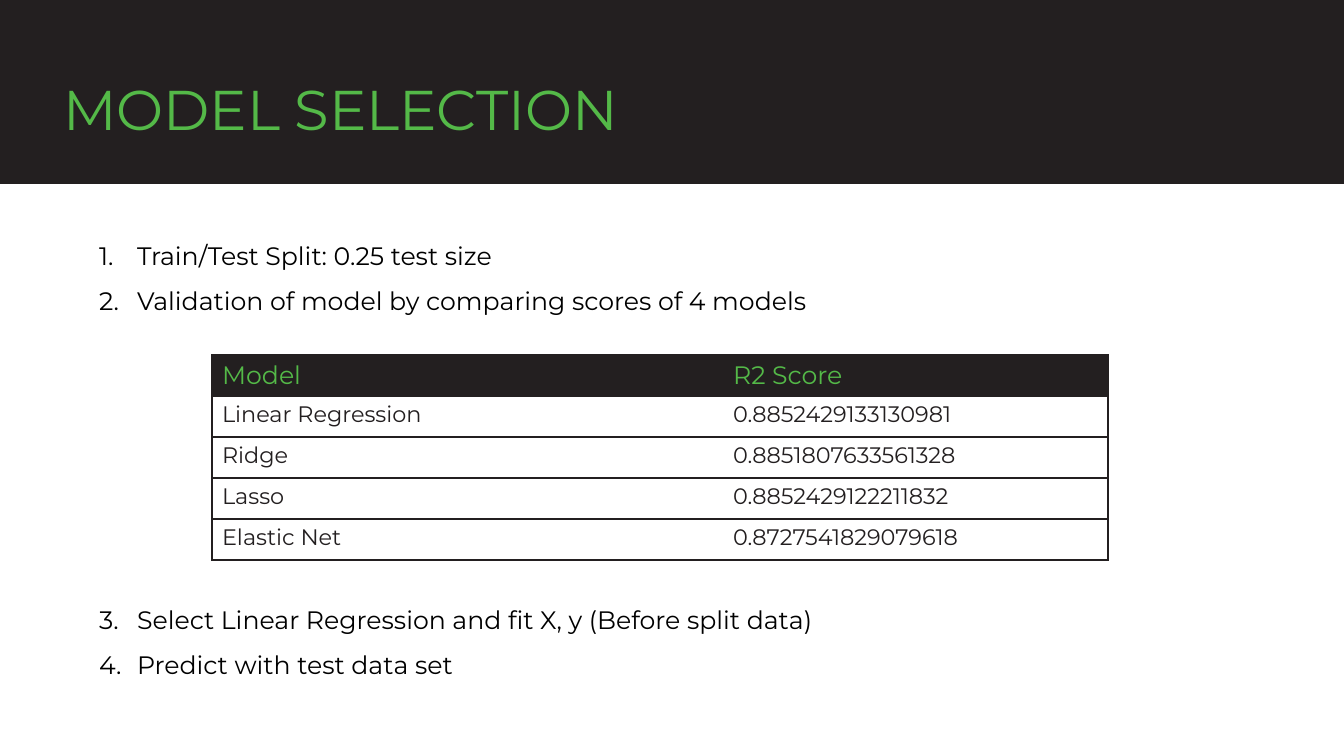
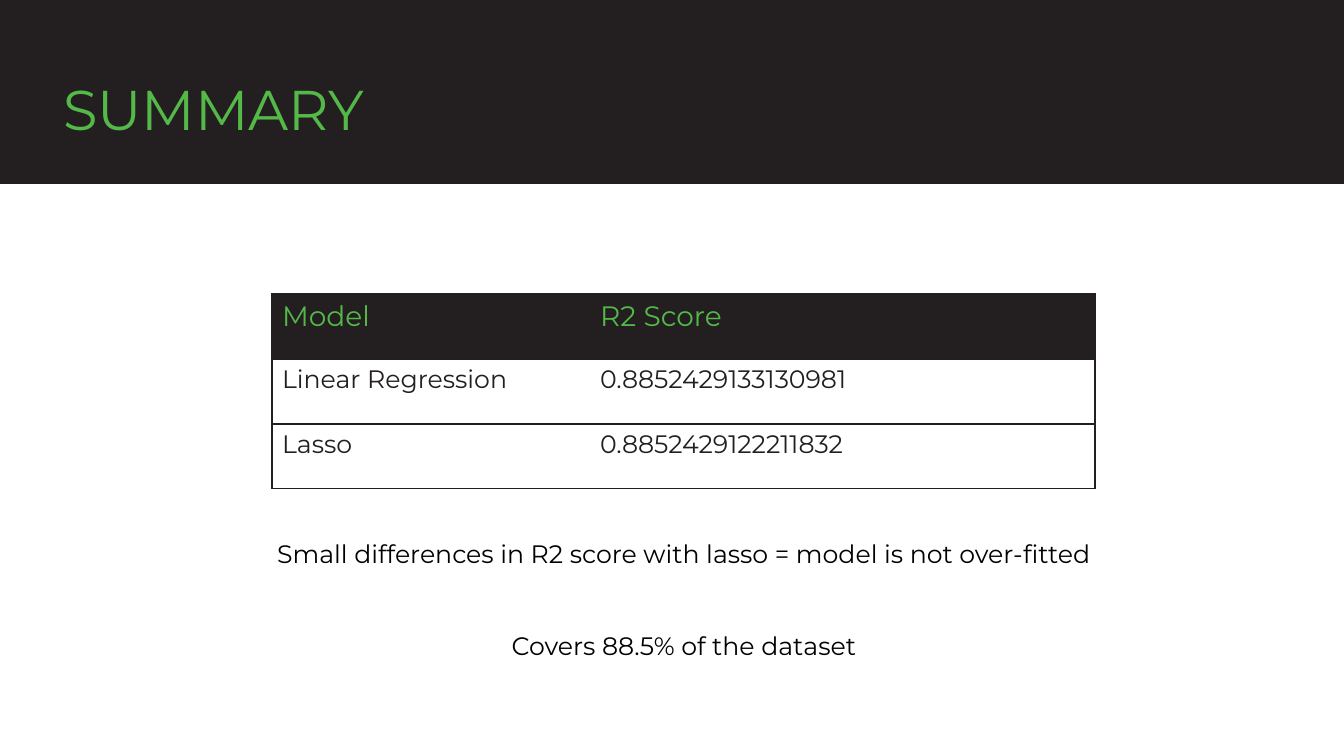
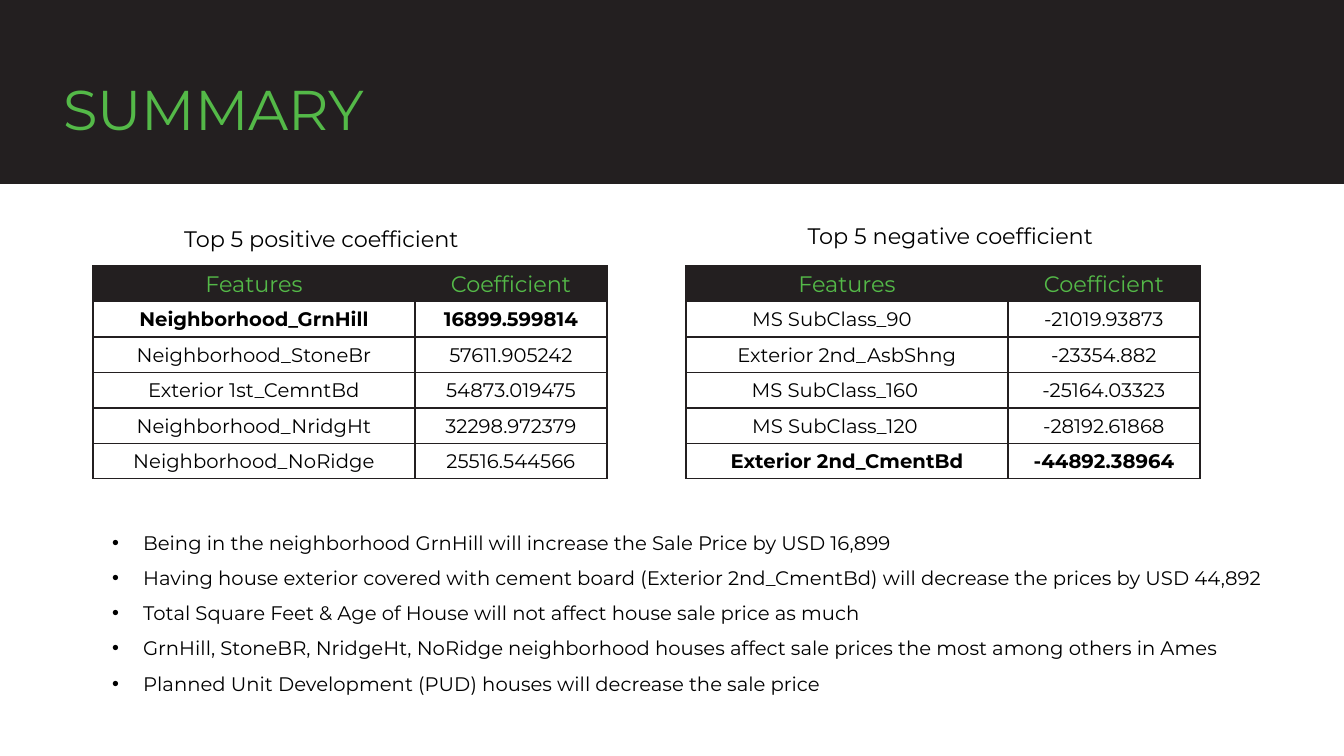
from dataclasses import dataclass

from lxml.etree import SubElement
from pptx import Presentation
from pptx.dml.color import RGBColor as Color
from pptx.enum.shapes import MSO_SHAPE as Preset
from pptx.enum.text import MSO_ANCHOR as Anchor, MSO_AUTO_SIZE as AutoSize, PP_ALIGN as Align
from pptx.oxml.ns import qn
from pptx.util import Pt

EMU_PER_PX = 914400 / 100.8


@dataclass(frozen=True)
class Theme:
    font: str = "Montserrat"
    dark: str = "231F20"
    green: str = "54B948"
    black: str = "000000"
    white: str = "FFFFFF"
    title: int = 40
    large: int = 20
    body: int = 18
    caption: int = 16
    small: int = 14
    line_spacing: float = 1.5


theme = Theme()


def px(value):
    return round(value * EMU_PER_PX)


def style_paragraph(paragraph, size, color, align=Align.LEFT, spacing=1.0, before=0, bold=False):
    paragraph.alignment = align
    paragraph.line_spacing = spacing
    paragraph.space_before = Pt(before)
    paragraph.space_after = Pt(0)
    for run in paragraph.runs:
        run.font.name = theme.font
        run.font.size = Pt(size)
        run.font.bold = bold
        run.font.color.rgb = Color.from_string(color)


pages = [
    {
        "title": "MODEL SELECTION",
        "box": (89, 221, 836, 463),
        "marker": "number", "indent": 38, "size": theme.body, "align": Align.LEFT,
        "items": [
            ("Train/Test Split: 0.25 test size", 0),
            ("Validation of model by comparing scores of 4 models", 0),
            ("Select Linear Regression and fit X, y (Before split data)", 195),
            ("Predict with test data set", 0),
        ],
        "captions": [],
        "tables": [{
            "at": (212, 355), "columns": (511, 385), "height": 205,
            "sizes": (theme.body, theme.caption), "color": theme.dark, "grid": False, "bold_row": None,
            "rows": [
                ("Model", "R2 Score"),
                ("Linear Regression", "0.8852429133130981"),
                ("Ridge", "0.8851807633561328"),
                ("Lasso", "0.8852429122211832"),
                ("Elastic Net", "0.8727541829079618"),
            ],
        }],
    },
    {
        "title": "SUMMARY",
        "box": (145, 521, 1078, 142),
        "marker": "none", "indent": 0, "size": theme.body, "align": Align.CENTER,
        "items": [
            ("Small differences in R2 score with lasso = model is not over-fitted", 0),
            ("Covers 88.5% of the dataset", 33),
        ],
        "captions": [],
        "tables": [{
            "at": (272, 294), "columns": (318, 505), "height": 195,
            "sizes": (theme.large, theme.body), "color": theme.dark, "grid": False, "bold_row": None,
            "rows": [
                ("Model", "R2 Score"),
                ("Linear Regression", "0.8852429133130981"),
                ("Lasso", "0.8852429122211832"),
            ],
        }],
    },
    {
        "title": "SUMMARY",
        "box": (102, 515, 1200, 184),
        "marker": "bullet", "indent": 31, "size": theme.small, "align": Align.LEFT,
        "items": [
            ("Being in the neighborhood GrnHill will increase the Sale Price by USD 16,899", 0),
            ("Having house exterior covered with cement board (Exterior 2nd_CmentBd) "
             "will decrease the prices by USD 44,892", 0),
            ("Total Square Feet & Age of House will not affect house sale price as much", 0),
            ("GrnHill, StoneBR, NridgeHt, NoRidge neighborhood houses affect sale prices "
             "the most among others in Ames", 0),
            ("Planned Unit Development (PUD) houses will decrease the sale price", 0),
        ],
        "captions": [
            ("Top 5 positive coefficient", 139, 209),
            ("Top 5 negative coefficient", 768, 206),
        ],
        "tables": [
            {
                "at": (93, 266), "columns": (322, 192), "height": 213,
                "sizes": (theme.caption, theme.small), "color": theme.black, "grid": True, "bold_row": 1,
                "rows": [
                    ("Features", "Coefficient"),
                    ("Neighborhood_GrnHill", "16899.599814"),
                    ("Neighborhood_StoneBr", "57611.905242"),
                    ("Exterior 1st_CemntBd", "54873.019475"),
                    ("Neighborhood_NridgHt", "32298.972379"),
                    ("Neighborhood_NoRidge", "25516.544566"),
                ],
            },
            {
                "at": (686, 266), "columns": (322, 192), "height": 213,
                "sizes": (theme.caption, theme.small), "color": theme.black, "grid": True, "bold_row": 5,
                "rows": [
                    ("Features", "Coefficient"),
                    ("MS SubClass_90", "-21019.93873"),
                    ("Exterior 2nd_AsbShng", "-23354.882"),
                    ("MS SubClass_160", "-25164.03323"),
                    ("MS SubClass_120", "-28192.61868"),
                    ("Exterior 2nd_CmentBd", "-44892.38964"),
                ],
            },
        ],
    },
]
right_insets = {"MS SubClass_90": 31, "MS SubClass_160": 25, "MS SubClass_120": 25}

presentation = Presentation()
presentation.slide_width = px(1344)
presentation.slide_height = px(756)
layout = presentation.slide_layouts[1]

for page in pages:
    slide = presentation.slides.add_slide(layout)
    title, body = slide.placeholders

    band = slide.shapes.add_shape(Preset.RECTANGLE, 0, 0, px(1344), px(184))
    band.shadow.inherit = False
    band.fill.solid()
    band.fill.fore_color.rgb = Color.from_string(theme.dark)
    band.line.fill.background()
    title._element.addprevious(band._element)

    for placeholder, box, anchor in (
        (title, (53, 36, 728, 97), Anchor.TOP),
        (body, page["box"], Anchor.MIDDLE),
    ):
        placeholder.left, placeholder.top, placeholder.width, placeholder.height = map(px, box)
        placeholder.text_frame.word_wrap = True
        placeholder.text_frame.auto_size = AutoSize.NONE
        placeholder.text_frame.vertical_anchor = anchor

    title.text_frame.text = page["title"]
    style_paragraph(title.text_frame.paragraphs[0], theme.title, theme.green, spacing=theme.line_spacing)

    body.text_frame.text = "\n".join(text for text, before in page["items"])
    for paragraph, (text, before) in zip(body.text_frame.paragraphs, page["items"]):
        properties = paragraph._p.get_or_add_pPr()
        properties.set("marL", str(px(page["indent"])))
        properties.set("indent", str(-px(page["indent"])))
        if page["marker"] == "number":
            SubElement(properties, qn("a:buFont"), typeface="+mj-lt")
            SubElement(properties, qn("a:buAutoNum"), type="arabicPeriod")
        elif page["marker"] == "bullet":
            SubElement(properties, qn("a:buFont"), typeface="Arial")
            SubElement(properties, qn("a:buChar"), char="•")
        else:
            SubElement(properties, qn("a:buNone"))
        style_paragraph(paragraph, page["size"], theme.black, page["align"], theme.line_spacing, before)

    for text, left, top in page["captions"]:
        caption = slide.shapes.add_textbox(px(left), px(top), px(365), px(46))
        caption.text_frame.word_wrap = True
        caption.text_frame.vertical_anchor = Anchor.MIDDLE
        caption.text_frame.text = text
        style_paragraph(caption.text_frame.paragraphs[0], theme.caption, theme.black,
                        Align.CENTER, theme.line_spacing)

    for data in page["tables"]:
        rows, columns, grid = data["rows"], data["columns"], data["grid"]
        left, top = data["at"]
        table = slide.shapes.add_table(len(rows), len(columns), px(left), px(top),
                                       px(sum(columns)), px(data["height"])).table
        table.first_row = False
        table.horz_banding = False
        for column, width in zip(table.columns, columns):
            column.width = px(width)

        for row_index, values in enumerate(rows):
            header = row_index == 0
            table.rows[row_index].height = px(data["height"] / len(rows))
            for column_index, value in enumerate(values):
                cell = table.cell(row_index, column_index)
                cell.text_frame.text = value
                if grid:
                    cell.vertical_anchor = Anchor.MIDDLE
                    cell.margin_left = cell.margin_top = px(1)
                    cell.margin_right = px(right_insets.get(value, 1))
                    cell.margin_bottom = 0
                style_paragraph(
                    cell.text_frame.paragraphs[0],
                    data["sizes"][0 if header else 1],
                    theme.green if header else data["color"],
                    Align.CENTER if grid else Align.LEFT,
                    bold=row_index == data["bold_row"],
                )
                cell.fill.solid()
                cell.fill.fore_color.rgb = Color.from_string(theme.dark if header else theme.white)

                visible = {
                    "lnL": grid or column_index == 0,
                    "lnR": grid or column_index == len(columns) - 1,
                    "lnT": True,
                    "lnB": True,
                }
                properties = cell._tc.get_or_add_tcPr()
                for position, (side, shown) in enumerate(visible.items()):
                    border = SubElement(properties, qn(f"a:{side}"), w=str(Pt(1)))
                    if shown:
                        fill = SubElement(border, qn("a:solidFill"))
                        SubElement(fill, qn("a:srgbClr"), val=theme.dark)
                    else:
                        SubElement(border, qn("a:noFill"))
                    properties.insert(position, border)

presentation.save("out.pptx")
